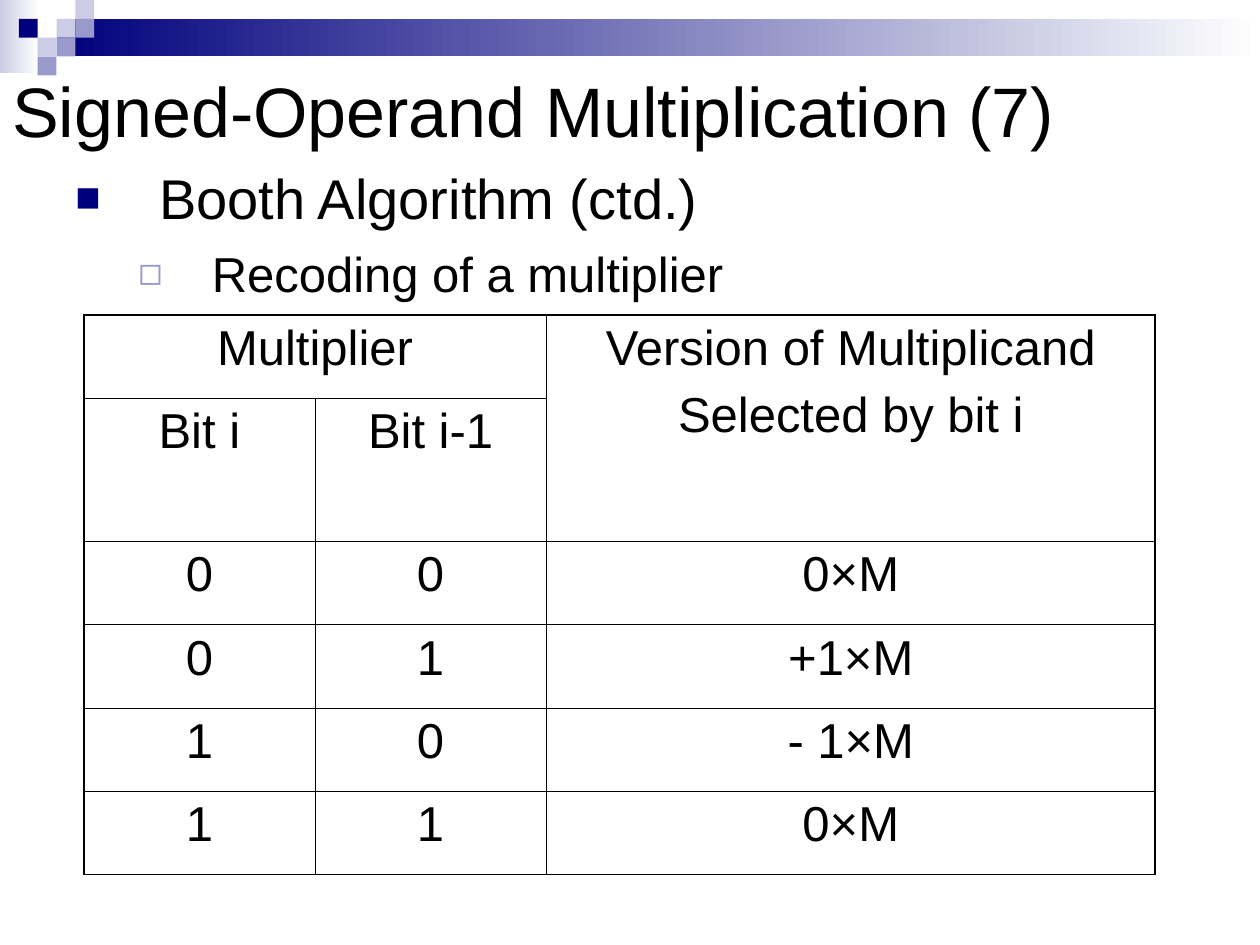
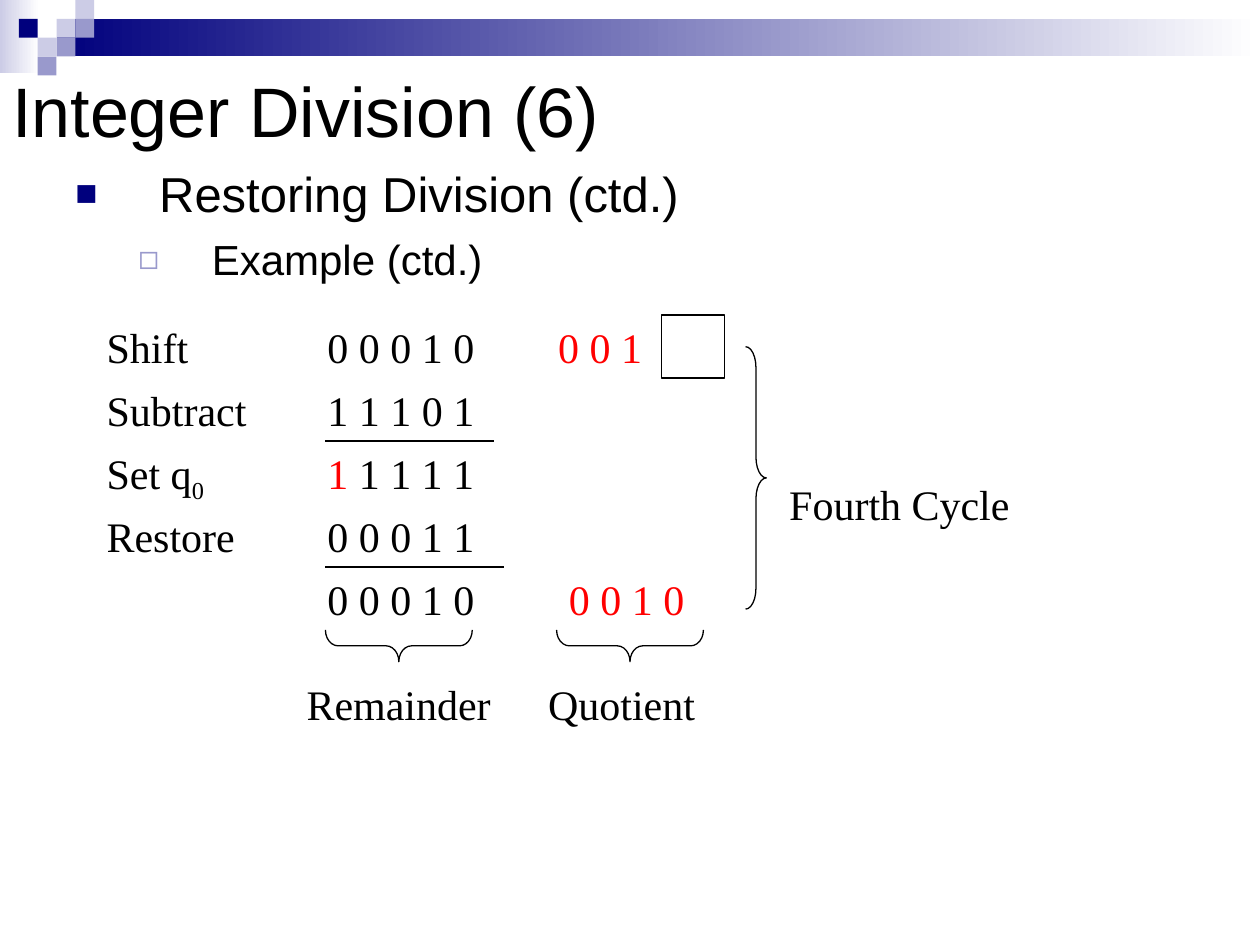
from dataclasses import dataclass

import pptx
import pptx.dml.color
import pptx.enum.shapes
import pptx.enum.text
import pptx.oxml
import pptx.oxml.ns
import pptx.util
from pptx.util import Cm, Pt

SHAPE = pptx.enum.shapes.MSO_SHAPE
ALIGN = pptx.enum.text.PP_ALIGN
ANCHOR = pptx.enum.text.MSO_ANCHOR


@dataclass(frozen=True)
class Theme:
    navy: str = "00007D"
    lavender: str = "9999CC"
    mist: str = "CCCCE6"
    white: str = "FFFFFF"
    ink: str = "000000"
    red: str = "FF0000"
    sans: str = "Arial"
    serif: str = "Times New Roman"
    title_size: int = 40
    table_size: int = 28
    working_size: int = 24
    thin: float = 0.45
    thick: float = 1.08
    stroke: float = 0.75


THEME = Theme()
SLIDE_WIDTH, SLIDE_HEIGHT = 25.4, 19.05
TILE = 0.38
# Column and row of each tile in the corner mosaic
MOSAIC = [
    (3, 1, THEME.mist), (4, 0, THEME.mist), (4, 1, THEME.lavender),
    (2, 2, THEME.mist), (1, 1, THEME.navy), (3, 2, THEME.lavender),
    (2, 3, THEME.lavender),
]
# Bullet sign, colour, size in percent, text margin and hanging indent in cm
BULLETS = [
    ("■", THEME.navy, 75, 1.69, 1.69),
    ("◻", THEME.lavender, 80, 2.75, 1.48),
]
ROW_STEP = 1.27
WORKING_TOP = 6.35
LABEL_LEFT, DIGITS_LEFT, QUOTIENT_LEFT = 1.9, 6.35, 11


def rgb(colour):
    return pptx.dml.color.RGBColor.from_string(colour)


def child(parent, tag, **attributes):
    element = pptx.oxml.ns.qn(tag)
    node = parent.makeelement(element, attributes)
    parent.append(node)
    return node


def style_font(font, name, size, colour=THEME.ink):
    font.name = name
    font.size = Pt(size)
    font.color.rgb = rgb(colour)


def add_box(page, left, top, width, height):
    box = page.shapes.add_textbox(Cm(left), Cm(top), Cm(width), Cm(height))
    box.text_frame.word_wrap = True
    return box.text_frame


def add_block(page, kind, left, top, width, height):
    block = page.shapes.add_shape(
        kind, Cm(left), Cm(top), Cm(width), Cm(height))
    block.shadow.inherit = False
    return block


def add_tile(page, left, top, width, height, colour, fade=False):
    tile = add_block(page, SHAPE.RECTANGLE, left, top, width, height)
    tile.line.fill.background()
    if fade:
        tile.fill.gradient()
        tile.fill.gradient_angle = 0
        for stop, shade in zip(tile.fill.gradient_stops, (colour, THEME.white)):
            stop.color.rgb = rgb(shade)
    else:
        tile.fill.solid()
        tile.fill.fore_color.rgb = rgb(colour)


def add_outline(page, kind, left, top, width, height):
    outline = add_block(page, kind, left, top, width, height)
    outline.fill.background()
    outline.line.color.rgb = rgb(THEME.ink)
    outline.line.width = Pt(THEME.stroke)
    return outline


def add_brace_below(page, left, top, width, depth):
    """Draw a brace under a span, pointing down."""
    brace = add_outline(page, SHAPE.RIGHT_BRACE, left + (width - depth) / 2,
                        top + (depth - width) / 2, depth, width)
    brace.adjustments[0] = 0.4
    brace.rotation = 90


def add_rule(page, left, right, top):
    rule = page.shapes.add_connector(
        pptx.enum.shapes.MSO_CONNECTOR.STRAIGHT,
        Cm(left), Cm(top), Cm(right), Cm(top))
    rule.line.color.rgb = rgb(THEME.ink)
    rule.line.width = Pt(THEME.stroke)
    child(rule._element.spPr, "a:effectLst")


def add_title(page, text):
    frame = add_box(page, 0, 0.84, SLIDE_WIDTH, 2.74)
    frame.vertical_anchor = ANCHOR.MIDDLE
    para = frame.paragraphs[0]
    para.text = text
    style_font(para.font, THEME.sans, THEME.title_size)


def add_bullet(para, level):
    sign, colour, percent, margin, hanging = BULLETS[level]
    properties = para._p.get_or_add_pPr()
    properties.set("marL", str(Cm(margin)))
    properties.set("indent", str(-Cm(hanging)))
    shade = child(properties, "a:buClr")
    child(shade, "a:srgbClr", val=colour)
    child(properties, "a:buSzPct", val=str(percent * 1000))
    child(properties, "a:buFont", typeface=THEME.sans)
    child(properties, "a:buChar", char=sign)


def add_outline_text(page, topic, detail, topic_size):
    """Write a topic with one detail below it, a step smaller."""
    frame = add_box(page, 1.27, 3.18, 22.43, 15.24)
    detail_size = topic_size - 4
    for level, (text, size) in enumerate(
            [(topic, topic_size), (detail, detail_size)]):
        para = frame.add_paragraph() if level else frame.paragraphs[0]
        para.text = text
        para.level = level
        if level:
            para.space_before = Pt(size / 4)
        add_bullet(para, level)
        style_font(para.font, THEME.sans, size)


def add_working(page, left, top, text, width=3.6, colour=THEME.ink):
    """Write one piece of the worked example and return its paragraph."""
    para = add_box(page, left, top, width, ROW_STEP).paragraphs[0]
    para.text = text
    style_font(para.font, THEME.serif, THEME.working_size, colour)
    return para


def border_cell(cell, row, column, last_row, last_column):
    """Give the cell thin borders, and thick ones on the table's rim."""
    properties = cell._tc.get_or_add_tcPr()
    rim = {"a:lnL": column == 0, "a:lnR": column == last_column,
           "a:lnT": row == 0, "a:lnB": row == last_row}
    for tag, on_rim in rim.items():
        width = Pt(THEME.thick if on_rim else THEME.thin)
        line = child(properties, tag, w=str(width))
        fill = child(line, "a:solidFill")
        child(fill, "a:srgbClr", val=THEME.ink)


def fill_cell(cell, text):
    cell.fill.background()
    cell.text = text
    for index, para in enumerate(cell.text_frame.paragraphs):
        para.alignment = ALIGN.CENTER
        if index:
            para.space_before = Pt(7)
        style_font(para.font, THEME.sans, THEME.table_size)


def add_grid(page, left, top, widths, heights, rows, merges):
    table = page.shapes.add_table(
        len(rows), len(widths), Cm(left), Cm(top),
        Cm(sum(widths)), Cm(sum(heights))).table
    table.first_row = table.horz_banding = False
    for column, width in zip(table.columns, widths):
        column.width = Cm(width)
    for row, height in zip(table.rows, heights):
        row.height = Cm(height)
    for row, texts in enumerate(rows):
        for column, text in enumerate(texts):
            cell = table.cell(row, column)
            border_cell(cell, row, column, len(rows) - 1, len(widths) - 1)
            fill_cell(cell, text)
    for first, last in merges:
        table.cell(*first).merge(table.cell(*last))


def add_page(deck, title):
    page = deck.slides.add_slide(deck.slide_layouts[6])
    add_tile(page, 0, 0, 0.79, 1.47, THEME.mist, fade=True)
    add_tile(page, 3 * TILE, TILE, SLIDE_WIDTH - 3 * TILE, 2 * TILE,
             THEME.navy, fade=True)
    for column, row, colour in MOSAIC:
        add_tile(page, column * TILE, row * TILE, TILE, TILE, colour)
    add_title(page, title)
    return page


def build_booth_page(deck):
    page = add_page(deck, "Signed-Operand Multiplication (7)")
    add_outline_text(page, "Booth Algorithm (ctd.)",
                     "Recoding of a multiplier", 32)
    rows = [
        ("Multiplier", "", "Version of Multiplicand\nSelected by bit i"),
        ("Bit i", "Bit i-1", ""),
        ("0", "0", "0×M"),
        ("0", "1", "+1×M"),
        ("1", "0", "- 1×M"),
        ("1", "1", "0×M"),
    ]
    add_grid(page, 1.69, 6.35, [4.66, 4.66, 12.28],
             [1.68, 2.88] + [1.68] * 4, rows,
             [((0, 0), (0, 1)), ((0, 2), (1, 2))])


def build_division_page(deck):
    page = add_page(deck, "Integer Division (6)")
    add_outline_text(page, "Restoring Division (ctd.)", "Example (ctd.)", 28)

    steps = [("Shift", "0 0 0 1 0"), ("Subtract", "1 1 1 0 1"),
             ("Set q", "1 1 1 1 1"), ("Restore", "0 0 0 1 1"),
             ("", "0 0 0 1 0")]
    for index, (label, digits) in enumerate(steps):
        top = WORKING_TOP + index * ROW_STEP
        if label:
            label_para = add_working(page, LABEL_LEFT, top, label)
        if label == "Set q":
            subscript = label_para.add_run()
            subscript.text = "0"
            subscript.font._element.set("baseline", "-25000")
            digits_para = add_working(page, DIGITS_LEFT, top, digits[0])
            digits_para.runs[0].font.color.rgb = rgb(THEME.red)
            digits_para.add_run().text = digits[1:]
        else:
            add_working(page, DIGITS_LEFT, top, digits)

    last_top = WORKING_TOP + 4 * ROW_STEP
    add_working(page, QUOTIENT_LEFT, WORKING_TOP, "0 0 1", colour=THEME.red)
    add_working(page, 11.22, last_top, "0 0 1 0", colour=THEME.red)
    add_outline(page, SHAPE.RECTANGLE, 13.34, WORKING_TOP, ROW_STEP, ROW_STEP)
    add_rule(page, 6.56, 9.95, WORKING_TOP + 2 * ROW_STEP)
    add_rule(page, 6.56, 10.16, last_top)

    cycle_brace = add_outline(page, SHAPE.RIGHT_BRACE, 15.03, 6.99, 0.42, 5.29)
    cycle_brace.adjustments[0] = 1
    add_working(page, 15.66, 9.53, "Fourth Cycle", width=5.08)
    for name, text_left, brace_left in [("Remainder", 5.93, 6.56),
                                        ("Quotient", 10.8, 11.22)]:
        add_brace_below(page, brace_left, 12.7, 2.96, 0.64)
        add_working(page, text_left, 13.55, name, width=5.08)


def main():
    deck = pptx.Presentation()
    deck.slide_width, deck.slide_height = Cm(SLIDE_WIDTH), Cm(SLIDE_HEIGHT)
    build_booth_page(deck)
    build_division_page(deck)
    deck.save("out.pptx")


if __name__ == "__main__":
    main()
